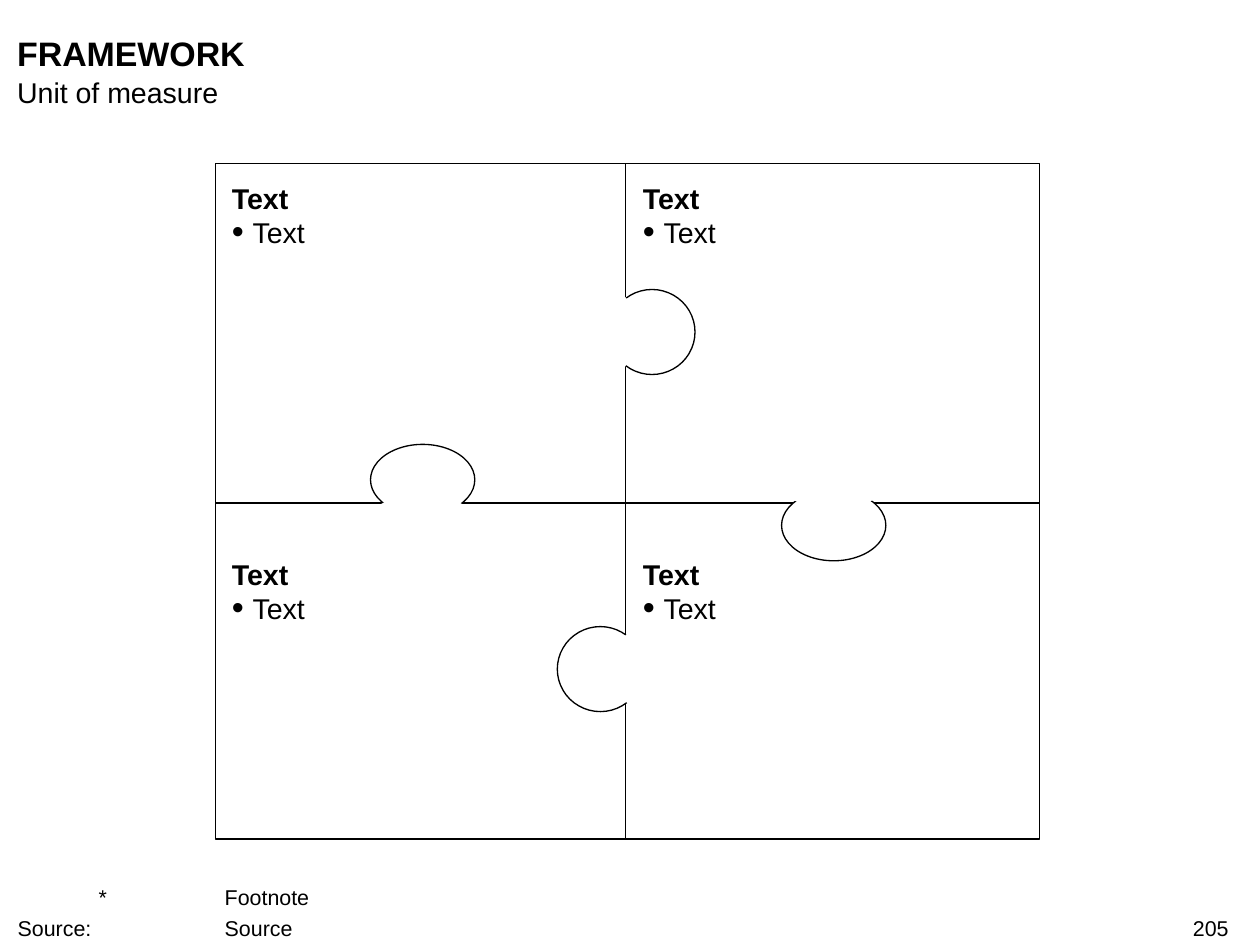
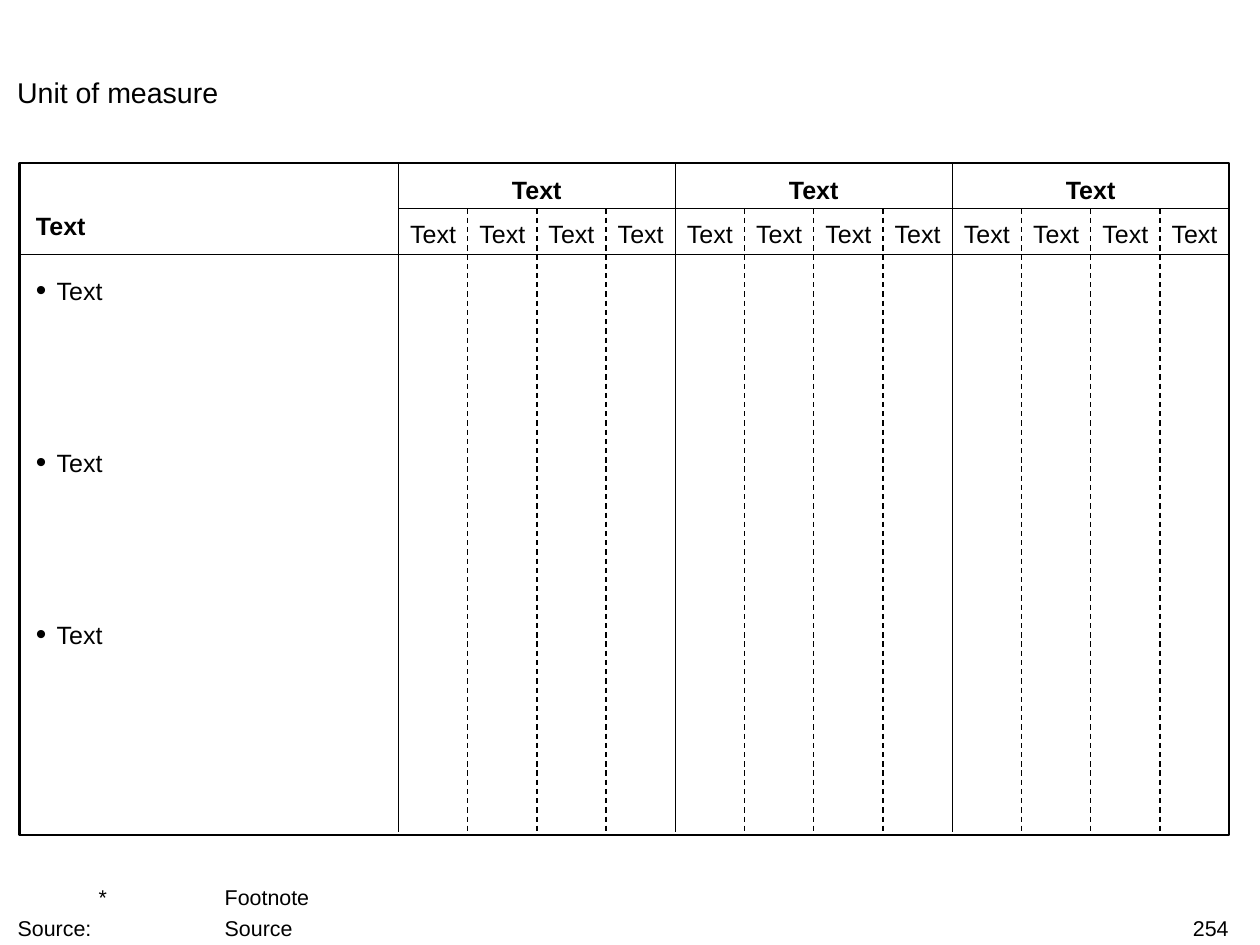
from dataclasses import dataclass
from itertools import product

from pptx import Presentation
from pptx import util as u
from pptx.dml import color
from pptx.enum import dml, shapes, text
from pptx.oxml import xmlchemy


@dataclass(frozen=True)
class Theme:
    font: str = "Arial"
    ink: str = "000000"
    paper: str = "FFFFFF"
    title: float = 19
    body: float = 16
    table: float = 14
    footer: float = 12
    thin: float = 0.75
    thick: float = 1.5


@dataclass(frozen=True)
class Box:
    """A rectangle in centimetres."""
    left: float
    top: float
    width: float
    height: float

    def lengths(self) -> list:
        return [u.Cm(n) for n in (self.left, self.top, self.width, self.height)]


@dataclass(frozen=True)
class Para:
    words: str
    size: float
    bold: bool = False
    bullet: bool = False
    align: text.PP_ALIGN = text.PP_ALIGN.LEFT
    tab_step: float = 0
    hang: float = 0
    before: float = 0


@dataclass(frozen=True)
class Knob:
    """A puzzle knob and the white patch that opens it to its tile."""
    bulge: Box
    opening: Box


THEME = Theme()
CENTER, RIGHT = text.PP_ALIGN.CENTER, text.PP_ALIGN.RIGHT
TOP, BOTTOM = text.MSO_ANCHOR.TOP, text.MSO_ANCHOR.BOTTOM

# Puzzle geometry
TILE_LEFTS, TILE_TOPS = (4.26, 12.36), (9.87, 3.23)
LABEL_LEFTS, LABEL_TOPS = (4.58, 12.7), (3.57, 11)
KNOBS = (
    Knob(Box(7.32, 8.78, 2.06, 1.4), Box(7.21, 9.78, 2.24, 1.19)),
    Knob(Box(12.03, 5.72, 1.7, 1.68), Box(11.13, 5.64, 1.47, 1.83)),
    Knob(Box(15.44, 9.68, 2.06, 1.4), Box(15.34, 8.86, 2.24, 1.19)),
    Knob(Box(11.01, 12.38, 1.7, 1.68), Box(12.14, 12.29, 1.47, 1.83)),
)

# Grid geometry
GRID = Box(0.38, 3.22, 23.9, 13.28)
GRID_RIGHT = GRID.left + GRID.width
FIRST_COLUMN = 7.87
HEADING_RULE, HEADER_RULE, RULES_END = 4.12, 5.03, 16.44
GROUPS, PER_GROUP = 3, 4
GROUP_WIDTH = 5.47
COLUMN_WIDTH = GROUP_WIDTH / PER_GROUP
ITEMS, ITEM_TOP, ITEM_STEP = 3, 5.44, 3.4


def add_child(parent, tag: str, **attributes):
    child = xmlchemy.OxmlElement(tag)
    for name, value in attributes.items():
        child.set(name, str(value))
    parent.append(child)
    return child


# Text
def add_text(page, box: Box, *paras: Para, anchor=TOP) -> None:
    frame = page.shapes.add_textbox(*box.lengths()).text_frame
    frame.word_wrap = True
    frame.vertical_anchor = anchor
    frame.margin_left = frame.margin_right = frame.margin_top = frame.margin_bottom = 0
    for index, para in enumerate(paras):
        paragraph = frame.add_paragraph() if index else frame.paragraphs[0]
        paragraph.add_run().text = para.words
        props = paragraph._p.get_or_add_pPr()
        hang = 0.41 if para.bullet else para.hang
        if hang:
            props.set("marL", str(u.Cm(hang)))
            props.set("indent", str(-u.Cm(hang)))
        if para.tab_step:
            props.set("defTabSz", str(u.Cm(para.tab_step)))
        if para.bullet:
            add_child(add_child(props, "a:buClr"), "a:srgbClr", val=THEME.ink)
            add_child(props, "a:buSzPct", val=120000)
            add_child(props, "a:buFont", typeface=THEME.font)
            add_child(props, "a:buChar", char="•")
        paragraph.alignment = para.align
        if para.before:
            paragraph.space_before = u.Pt(para.before)
        font = paragraph.font
        font.name, font.size, font.bold = THEME.font, u.Pt(para.size), para.bold
        font.color.rgb = color.RGBColor.from_string(THEME.ink)


# Shapes and lines
def ink_line(line, width: float) -> None:
    line.color.rgb = color.RGBColor.from_string(THEME.ink)
    line.width = u.Pt(width)


def add_outline(page, kind: shapes.MSO_SHAPE, box: Box,
                width: float = THEME.thin, filled: bool = True) -> None:
    shape = page.shapes.add_shape(kind, *box.lengths())
    shape.shadow.inherit = False
    if filled:
        shape.fill.solid()
        shape.fill.fore_color.rgb = color.RGBColor.from_string(THEME.paper)
    else:
        shape.fill.background()
    if width:
        ink_line(shape.line, width)
    else:
        shape.line.fill.background()


def add_rule(page, x1: float, y1: float, x2: float, y2: float,
             dashed: bool = False) -> None:
    ends = [u.Cm(n) for n in (x1, y1, x2, y2)]
    rule = page.shapes.add_connector(shapes.MSO_CONNECTOR.STRAIGHT, *ends)
    ink_line(rule.line, THEME.thin)
    if dashed:
        rule.line.dash_style = dml.MSO_LINE.DASH
    add_child(rule._element.spPr, "a:effectLst")


# Parts every page shares
def add_page(deck, number: str, title: str = ""):
    page = deck.slides.add_slide(deck.slide_layouts[6])
    if title:
        add_text(page, Box(0.34, 0.64, 23.95, 0.81), Para(title, THEME.title, bold=True))
    add_text(page, Box(0.34, 1.49, 23.95, 0.69), Para("Unit of measure", THEME.body))
    add_text(page, Box(0.35, 17.46, 22.68, 1.12),
             Para("\t*\tFootnote", THEME.footer, tab_step=2.49, hang=1.6),
             Para("Source:\t\tSource", THEME.footer, tab_step=2.49, hang=1.6, before=3),
             anchor=BOTTOM)
    add_text(page, Box(19.09, 18.08, 5.18, 0.51), Para(number, THEME.footer, align=RIGHT))
    return page


# Puzzle page
def add_puzzle(page) -> None:
    for top, left in product(TILE_TOPS, TILE_LEFTS):
        add_outline(page, shapes.MSO_SHAPE.RECTANGLE, Box(left, top, 8.18, 6.71))
    for knob in KNOBS:
        add_outline(page, shapes.MSO_SHAPE.OVAL, knob.bulge)
        add_outline(page, shapes.MSO_SHAPE.OVAL, knob.opening, width=0)
    for top, left in product(LABEL_TOPS, LABEL_LEFTS):
        add_text(page, Box(left, top, 7.44, 1.35),
                 Para("Text", THEME.body, bold=True),
                 Para("Text", THEME.body, bullet=True))


# Grid page
def add_group(page, left: float) -> None:
    """One headed group: solid left rule, dashed rules between its columns."""
    add_rule(page, left, GRID.top, left, RULES_END)
    add_text(page, Box(left + 0.26, 3.45, GROUP_WIDTH - 0.52, 0.59),
             Para("Text", THEME.table, bold=True, align=CENTER), anchor=BOTTOM)
    for index in range(PER_GROUP):
        x = left + index * COLUMN_WIDTH
        if index:
            add_rule(page, x, HEADING_RULE, x, RULES_END, dashed=True)
        add_text(page, Box(x + 0.15, 4.33, COLUMN_WIDTH - 0.3, 0.59),
                 Para("Text", THEME.table, align=CENTER), anchor=BOTTOM)


def add_grid(page) -> None:
    add_outline(page, shapes.MSO_SHAPE.RECTANGLE, GRID, THEME.thick, filled=False)
    add_rule(page, GRID.left, HEADER_RULE, GRID_RIGHT, HEADER_RULE)
    add_rule(page, FIRST_COLUMN, HEADING_RULE, GRID_RIGHT, HEADING_RULE)
    add_text(page, Box(0.71, 4.17, 6.83, 0.59),
             Para("Text", THEME.table, bold=True), anchor=BOTTOM)
    for index in range(ITEMS):
        add_text(page, Box(0.71, ITEM_TOP + index * ITEM_STEP, 6.83, 0.59),
                 Para("Text", THEME.table, bullet=True))
    for index in range(GROUPS):
        add_group(page, FIRST_COLUMN + index * GROUP_WIDTH)


def main() -> None:
    deck = Presentation()
    deck.slide_width, deck.slide_height = u.Cm(24.89), u.Cm(18.67)
    add_puzzle(add_page(deck, "205", title="FRAMEWORK"))
    add_grid(add_page(deck, "254"))
    deck.save("out.pptx")


if __name__ == "__main__":
    main()
